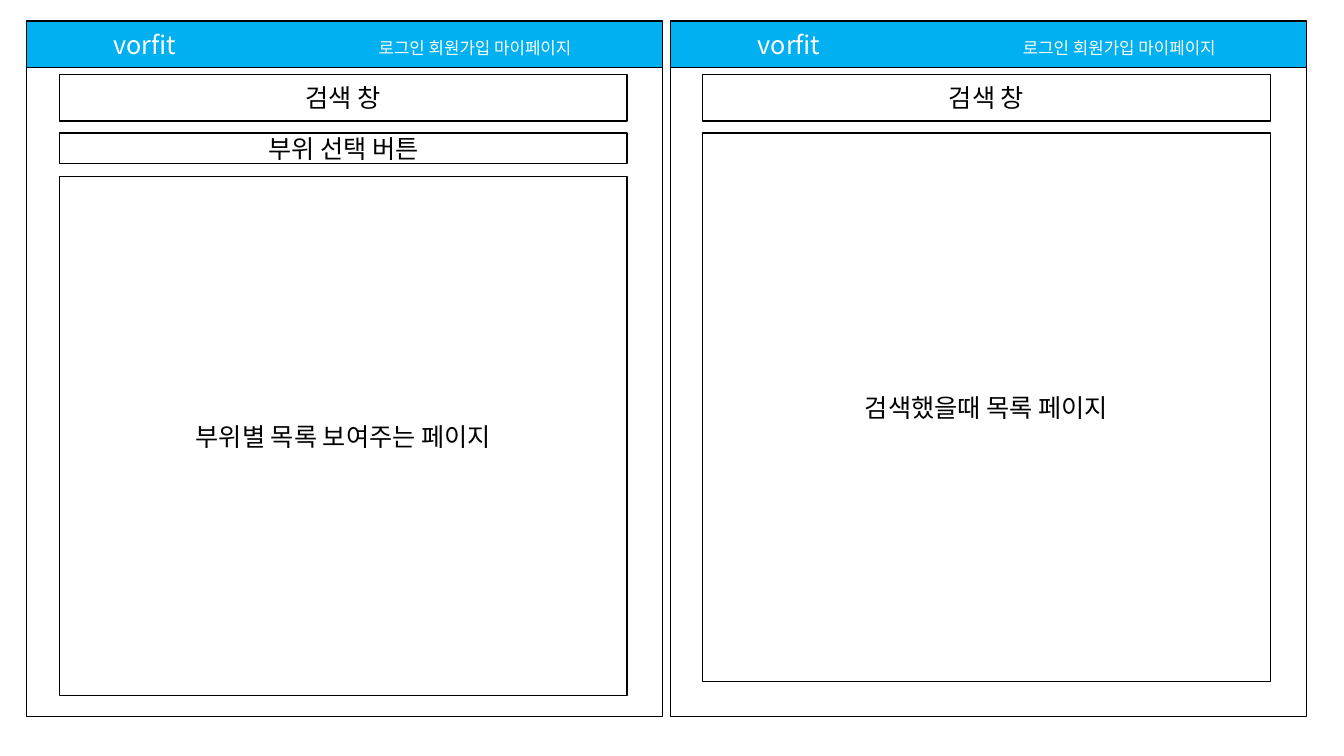
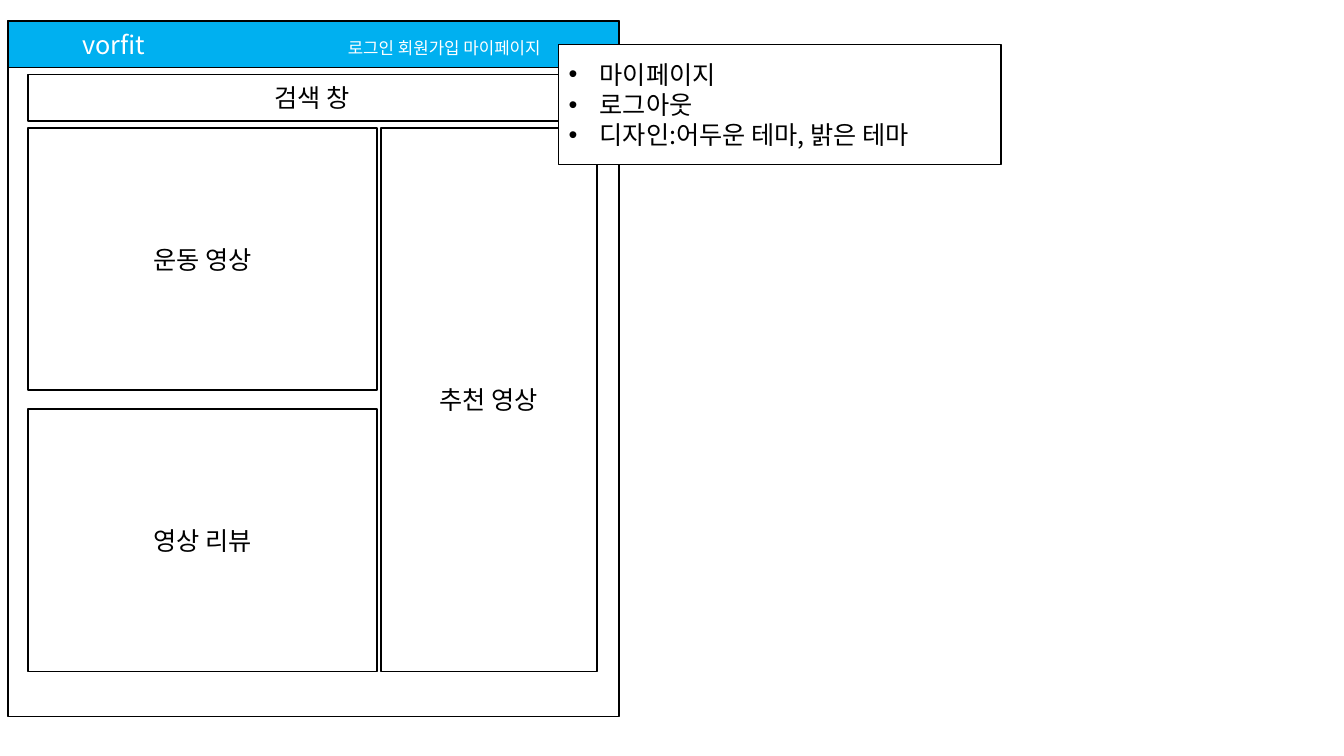
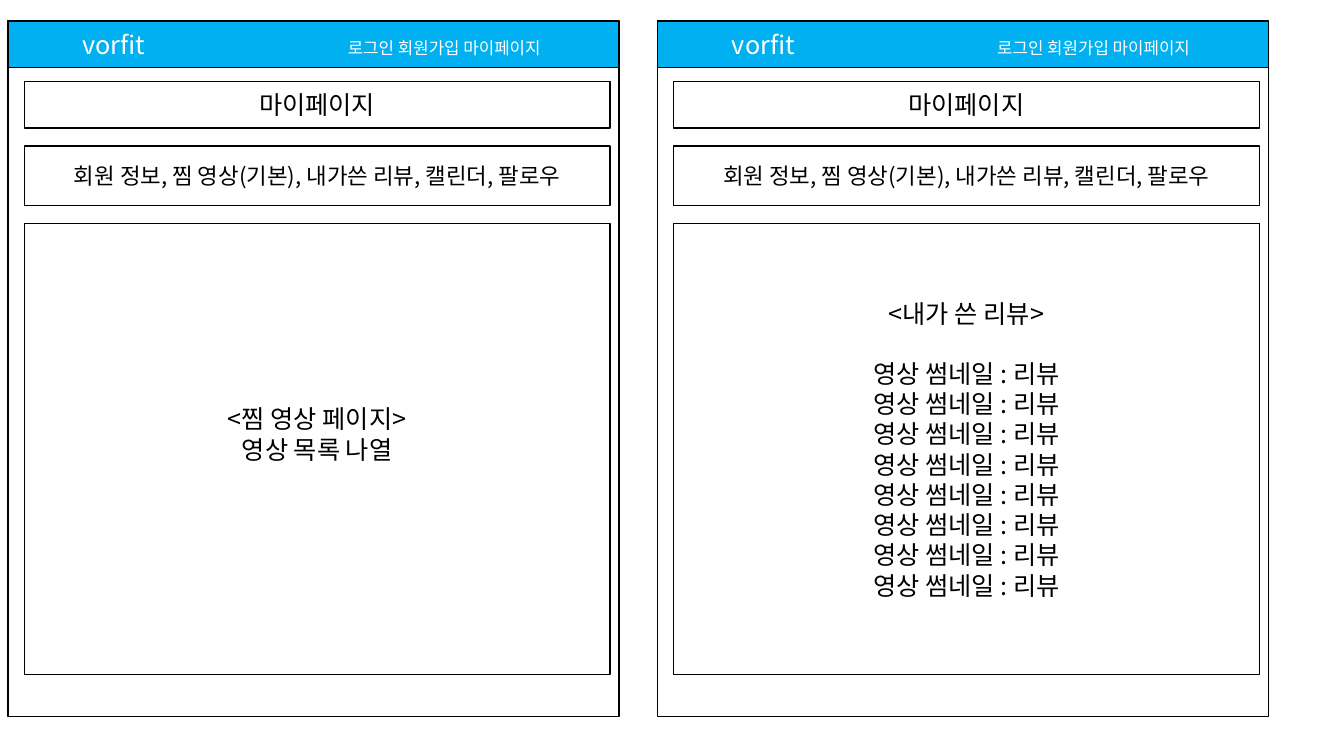
from dataclasses import dataclass

from lxml import etree
from pptx import Presentation
from pptx.dml.color import RGBColor
from pptx.enum import shapes, text
from pptx.oxml import ns
from pptx.util import Inches, Pt


class Theme:
    font = "Noto Sans CJK KR"
    black = RGBColor(0x00, 0x00, 0x00)
    white = RGBColor(0xFF, 0xFF, 0xFF)
    header = RGBColor(0x00, 0xB0, 0xF0)
    body_size, tabs_size, menu_size = 18, 16, 12
    line_width = 1
    blank_line = 0.3


@dataclass
class Panel:
    """A box inside a screen; left is measured from the screen's edge."""
    lines: list
    left: float
    top: float
    width: float
    height: float
    size: int = Theme.body_size
    heading_gap: float = 0
    bottom_gap: float = 0


@dataclass
class Screen:
    left: float
    width: float
    panels: list


# Content
BRAND = "vorfit"
MENU = "로그인 회원가입 마이페이지"
POPUP = ["마이페이지", "로그아웃", "디자인:어두운 테마, 밝은 테마"]
POPUP_BOX = (5.54, 0.44, 4.39, 1.19)
BULLET_INDENT = 0.31

SCREEN_TOP, SCREEN_HEIGHT, HEADER_HEIGHT = 0.21, 6.9, 0.46
BRAND_FROM_CENTRE, MENU_FROM_BRAND = 2.29, 2.63
WIDE, NARROW = 6.31, 6.06


def search_panel(left):
    return Panel(["검색 창"], left, 0.74, 5.63, 0.46)


def my_page(lines, **gaps):
    left, width = 0.16, 5.81
    return [
        Panel(["마이페이지"], left, 0.81, width, 0.46),
        Panel(["회원 정보, 찜 영상(기본), 내가쓴 리뷰, 캘린더, 팔로우"],
              left, 1.45, width, 0.59, size=Theme.tabs_size),
        Panel(lines, left, 2.22, width, 4.47, **gaps),
    ]


LIST_SCREENS = [
    Screen(0.26, WIDE, [
        search_panel(0.33),
        Panel(["부위 선택 버튼"], 0.33, 1.32, 5.63, 0.3),
        Panel(["부위별 목록 보여주는 페이지"], 0.33, 1.75, 5.63, 5.15),
    ]),
    Screen(6.65, WIDE, [
        search_panel(0.32),
        Panel(["검색했을때 목록 페이지"], 0.32, 1.32, 5.63, 5.44),
    ]),
]
VIDEO_SCREENS = [
    Screen(0.08, NARROW, [
        search_panel(0.2),
        Panel(["운동 영상"], 0.2, 1.27, 3.46, 2.6),
        Panel(["영상 리뷰"], 0.2, 4.06, 3.46, 2.6),
        Panel(["추천 영상"], 3.7, 1.27, 2.14, 5.39),
    ]),
]
MY_PAGE_SCREENS = [
    Screen(0.08, NARROW, my_page(["<찜 영상 페이지>", "영상 목록 나열"],
                                 bottom_gap=Theme.blank_line)),
    Screen(6.52, NARROW, my_page(["<내가 쓴 리뷰>"] + ["영상 썸네일 : 리뷰"] * 8,
                                 heading_gap=Theme.blank_line)),
]


# Drawing helpers
def add_box(slide, left, top, width, height, fill=None):
    shape = slide.shapes.add_shape(
        shapes.MSO_SHAPE.RECTANGLE,
        Inches(left), Inches(top), Inches(width), Inches(height))
    shape.shadow.inherit = False
    if fill is None:
        shape.fill.background()
    else:
        shape.fill.solid()
        shape.fill.fore_color.rgb = fill
    shape.line.color.rgb = Theme.black
    shape.line.width = Pt(Theme.line_width)
    shape.text_frame.word_wrap = True
    shape.text_frame.vertical_anchor = text.MSO_ANCHOR.MIDDLE
    return shape


def style_run(run, size, color):
    run.font.size = Pt(size)
    run.font.color.rgb = color
    run.font.name = Theme.font
    east_asian = etree.SubElement(run.font._element, ns.qn("a:ea"))
    east_asian.set("typeface", Theme.font)


def write_lines(shape, lines, size, alignment):
    shape.text_frame.text = "\n".join(lines)
    for paragraph in shape.text_frame.paragraphs:
        paragraph.alignment = alignment
        for run in paragraph.runs:
            style_run(run, size, Theme.black)


def add_header(slide, screen):
    shape = add_box(slide, screen.left, SCREEN_TOP, screen.width,
                    HEADER_HEIGHT, Theme.header)
    frame = shape.text_frame
    frame.margin_left = Inches(screen.width / 2 - BRAND_FROM_CENTRE)
    frame.text = BRAND + "\t"
    paragraph = frame.paragraphs[0]
    paragraph.alignment = text.PP_ALIGN.LEFT
    paragraph.add_run().text = MENU
    for run, size in zip(paragraph.runs, (Theme.body_size, Theme.menu_size)):
        style_run(run, size, Theme.white)
    # Tab stop that places the menu
    properties = paragraph._p.get_or_add_pPr()
    tab_list = etree.SubElement(properties, ns.qn("a:tabLst"))
    etree.SubElement(tab_list, ns.qn("a:tab"),
                     pos=str(Inches(MENU_FROM_BRAND)), algn="l")


def add_panel(slide, screen, panel):
    shape = add_box(slide, screen.left + panel.left, panel.top,
                    panel.width, panel.height)
    write_lines(shape, panel.lines, panel.size, text.PP_ALIGN.CENTER)
    if panel.heading_gap:
        shape.text_frame.paragraphs[0].space_after = Inches(panel.heading_gap)
    if panel.bottom_gap:
        shape.text_frame.margin_bottom += Inches(panel.bottom_gap)


def add_popup(slide):
    shape = add_box(slide, *POPUP_BOX, fill=Theme.white)
    write_lines(shape, POPUP, Theme.body_size, text.PP_ALIGN.LEFT)
    indent = Inches(BULLET_INDENT)
    for paragraph in shape.text_frame.paragraphs:
        properties = paragraph._p.get_or_add_pPr()
        properties.set("marL", str(indent))
        properties.set("indent", str(-indent))
        etree.SubElement(properties, ns.qn("a:buFont"), typeface="Arial")
        etree.SubElement(properties, ns.qn("a:buChar"), char="•")


def add_screens(presentation, screens):
    slide = presentation.slides.add_slide(presentation.slide_layouts[6])
    for screen in screens:
        add_box(slide, screen.left, SCREEN_TOP, screen.width, SCREEN_HEIGHT)
        add_header(slide, screen)
        for panel in screen.panels:
            add_panel(slide, screen, panel)
    return slide


def main():
    presentation = Presentation()
    presentation.slide_width = Inches(13.33)
    presentation.slide_height = Inches(7.5)
    add_screens(presentation, LIST_SCREENS)
    add_popup(add_screens(presentation, VIDEO_SCREENS))
    add_screens(presentation, MY_PAGE_SCREENS)
    presentation.save("out.pptx")


if __name__ == "__main__":
    main()
